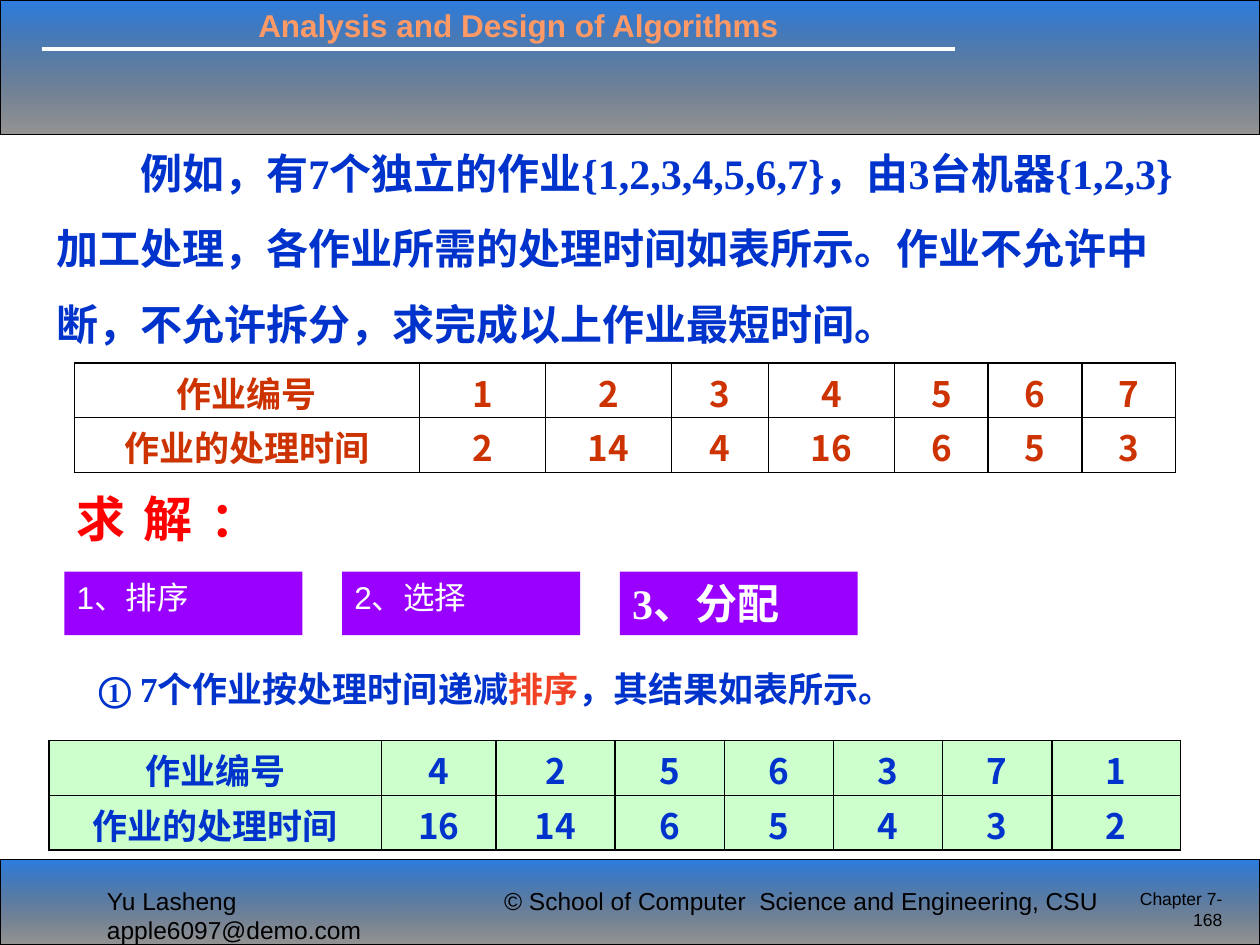
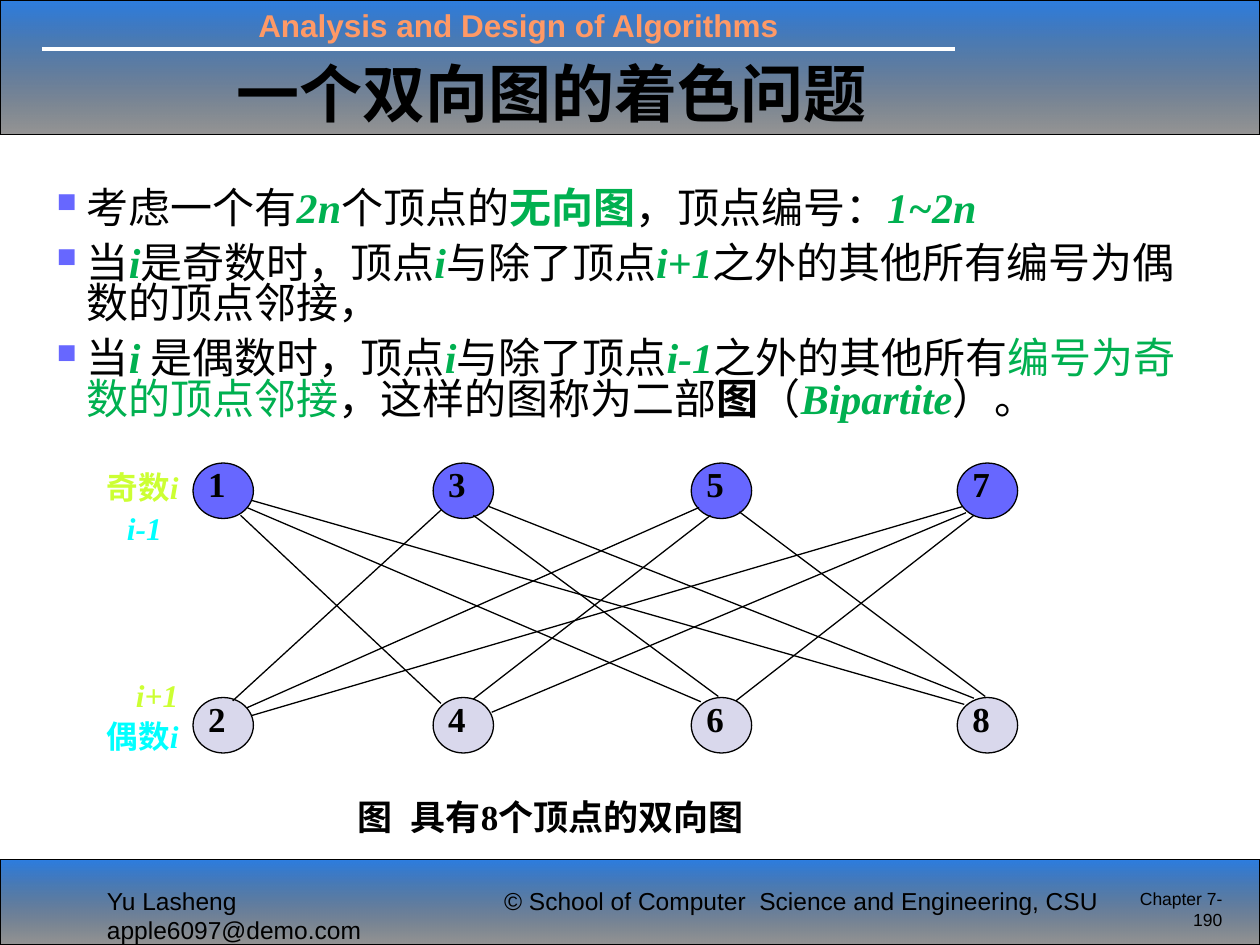
import dataclasses

import pptx
import pptx.dml.color
import pptx.enum.shapes
import pptx.enum.text
import pptx.oxml
import pptx.oxml.ns
import pptx.util

Pt = pptx.util.Pt
Align = pptx.enum.text.PP_ALIGN
Shape = pptx.enum.shapes.MSO_SHAPE
qn = pptx.oxml.ns.qn


@dataclasses.dataclass(frozen=True)
class Type:
    size: float
    color: str
    font: str = "Times New Roman"
    bold: bool = True
    italic: bool = False
    asian: str = "Karla"

    def but(self, **changes):
        return dataclasses.replace(self, **changes)


@dataclasses.dataclass(frozen=True)
class Theme:
    black: str = "000000"
    white: str = "FFFFFF"
    rust: str = "CC3300"
    accent: str = "F14124"
    green: str = "00B050"
    mint: str = "CCFFCC"
    purple: str = "9900FF"
    odd: str = "6767FF"
    even: str = "D9D8EC"
    lime: str = "CCFF33"
    cyan: str = "00FFFF"
    band: tuple = (("0E6BDC", 88000), ("000000", 41000))
    course: Type = Type(18, "FF9966", "Arial")
    footer: Type = Type(14, "000000", "Arial", False)
    number: Type = Type(10, "000000", "Arial", False)
    title: Type = Type(36, "000000")
    problem: Type = Type(24, "0033CC")
    note: Type = Type(20, "0033CC")
    cell: Type = Type(20, "0033CC", "Noto Sans CJK SC", asian="Noto Sans CJK SC")
    heading: Type = Type(28, "FF0000")
    step: Type = Type(18, "FFFFFF", "Arial", False)
    plain: Type = Type(24, "000000", "Noto Sans CJK SC", False)
    key: Type = Type(24, "00B050", italic=True)
    node: Type = Type(20, "000000")
    label: Type = Type(18, "000000", italic=True)


THEME = Theme()


def rgb(color):
    return pptx.dml.color.RGBColor.from_string(color)


class Builder:
    def __init__(self, theme):
        self.theme = theme
        self.deck = pptx.Presentation()
        self.deck.slide_width, self.deck.slide_height = Pt(720), Pt(540)
        self.page = None

    def new_page(self, number):
        theme = self.theme
        self.page = self.deck.slides.add_slide(self.deck.slide_layouts[6])
        for top, height in ((0, 77), (491, 49)):
            self.band(top, height)
        self.line((24, 28), (546, 28), theme.white, 2.25)
        self.text((140.5, 0, 360, 29),
                  [[("Analysis and Design of Algorithms", theme.course)]])
        self.text((54, 502.5, 231, 41),
                  [[("Yu Lasheng  apple6097@demo.com", theme.footer)]], wrap=False)
        self.text((281, 502.5, 369, 24.5),
                  [[("© School of Computer  Science and Engineering, CSU",
                     theme.footer)]], wrap=False)
        self.text((632, 504, 73.5, 36),
                  [[(f"Chapter 7-{number}", theme.number)]], align=Align.RIGHT)

    def band(self, top, height):
        band = self.shape((0, top, 720, height), None, self.theme.black)
        band.fill.gradient()
        band.fill.gradient_angle = 270
        for stop, (color, _) in zip(band.fill.gradient_stops, self.theme.band):
            stop.color.rgb = rgb(color)
        for color, (_, alpha) in zip(band._element.spPr.iter(qn("a:srgbClr")),
                                     self.theme.band):
            color.append(pptx.oxml.parse_xml(
                f'<a:alpha {pptx.oxml.ns.nsdecls("a")} val="{alpha}"/>'))

    def shape(self, area, fill, line=None, kind=Shape.RECTANGLE):
        shape = self.page.shapes.add_shape(kind, *map(Pt, area))
        shape.shadow.inherit = False
        if fill:
            shape.fill.solid()
            shape.fill.fore_color.rgb = rgb(fill)
        if line:
            shape.line.color.rgb = rgb(line)
            shape.line.width = Pt(0.75)
        else:
            shape.line.fill.background()
        return shape

    def line(self, start, end, color, width=0.75):
        line = self.page.shapes.add_connector(
            pptx.enum.shapes.MSO_CONNECTOR.STRAIGHT, *map(Pt, start + end))
        line.line.color.rgb = rgb(color)
        line.line.width = Pt(width)
        line._element.spPr.append(pptx.oxml.parse_xml(
            f'<a:effectLst {pptx.oxml.ns.nsdecls("a")}/>'))

    def text(self, area, paras, wrap=True, margins=(7.2, 3.6, 7.2, 3.6), **layout):
        box = self.page.shapes.add_textbox(*map(Pt, area))
        self.paragraphs(box.text_frame, paras, wrap, margins, **layout)

    def paragraphs(self, frame, paras, wrap=True, margins=(7.2, 3.6, 7.2, 3.6),
                   align=Align.LEFT, spacing=None, gap=0, indent=0, bullet=None):
        frame.word_wrap = wrap
        frame.vertical_anchor = pptx.enum.text.MSO_ANCHOR.TOP
        (frame.margin_left, frame.margin_top,
         frame.margin_right, frame.margin_bottom) = map(Pt, margins)
        for index, spans in enumerate(paras):
            para = frame.add_paragraph() if index else frame.paragraphs[0]
            para.alignment = align
            if spacing:
                para.line_spacing = spacing
            if index:
                para.space_before = Pt(gap)
            if indent:
                para._p.get_or_add_pPr().set("indent", str(Pt(indent)))
            if bullet:
                self.bullet(para, bullet, -indent)
            self.spans(para, spans)

    def bullet(self, para, color, margin):
        properties = para._p.get_or_add_pPr()
        properties.set("marL", str(Pt(margin)))
        for tag in (f'buClr {{}}><a:srgbClr val="{color}"/></a:buClr>',
                    'buSzPct {} val="65000"/>', 'buChar {} char="■"/>'):
            properties.append(pptx.oxml.parse_xml(
                "<a:" + tag.format(pptx.oxml.ns.nsdecls("a"))))

    def spans(self, para, spans):
        for words, style in spans:
            span = para.add_run()
            span.text = words
            font = span.font
            font.size, font.name = Pt(style.size), style.font
            font.bold, font.italic = style.bold, style.italic
            font.color.rgb = rgb(style.color)
            span._r.get_or_add_rPr().append(pptx.oxml.parse_xml(
                f'<a:ea {pptx.oxml.ns.nsdecls("a")} typeface="{style.asian}"/>'))

    def table(self, left, top, widths, rows, style, fill=None):
        height = 31.32
        frame = self.page.shapes.add_table(
            len(rows), len(widths), Pt(left), Pt(top),
            Pt(sum(widths)), Pt(height * len(rows)))
        table = frame.table
        table.first_row = table.horz_banding = False
        for column, width in zip(table.columns, widths):
            column.width = Pt(width)
        for row, values in zip(table.rows, rows):
            row.height = Pt(height)
            for cell, value in zip(row.cells, values):
                self.cell(cell, str(value), style, fill)

    def cell(self, cell, value, style, fill):
        cell.margin_top, cell.margin_bottom = Pt(2), Pt(0)
        para = cell.text_frame.paragraphs[0]
        para.alignment = Align.CENTER
        self.spans(para, [(value, style)])
        for side in "LRTB":
            cell._tc.get_or_add_tcPr().append(pptx.oxml.parse_xml(
                f'<a:ln{side} {pptx.oxml.ns.nsdecls("a")} w="{Pt(1)}"><a:solidFill>'
                f'<a:srgbClr val="{self.theme.black}"/></a:solidFill></a:ln{side}>'))
        if fill:
            cell.fill.solid()
            cell.fill.fore_color.rgb = rgb(fill)
        else:
            cell.fill.background()


def scheduling_page(builder):
    theme = builder.theme
    builder.new_page(168)
    builder.text((25.2, 66.2, 652.3, 136), [[(
        "例如，有7个独立的作业{1,2,3,4,5,6,7}，由3台机器{1,2,3}加工处理，"
        "各作业所需的处理时间如表所示。作业不允许中断，不允许拆分，"
        "求完成以上作业最短时间。", theme.problem)]], spacing=1.5, indent=48)

    times = {1: 2, 2: 14, 3: 4, 4: 16, 5: 6, 6: 5, 7: 3}
    longest_first = sorted(times, key=times.get, reverse=True)

    def job_rows(jobs):
        return [["作业编号", *jobs], ["作业的处理时间", *(times[job] for job in jobs)]]

    builder.table(42.5, 207.4, (197.3, 72, 72, 55.4, 72, 53.5, 53.5, 53.5),
                  job_rows(times), theme.cell.but(color=theme.rust))
    builder.text((25.2, 378, 669, 36.7), [[
        ("① 7个作业按处理时间递减", theme.note),
        ("排序", theme.note.but(color=theme.accent)),
        ("，其结果如表所示。", theme.note)]], indent=24)
    builder.table(28.1, 423.2, (190, 65.3, 68.2, 62.4, 62.4, 62.4, 62.4, 73.4),
                  job_rows(longest_first), theme.cell, theme.mint)

    heading = builder.shape((36.7, 275.8, 90.7, 41), theme.white)
    builder.paragraphs(heading.text_frame, [[("求解：", theme.heading)]],
                       align=Align.JUSTIFY)
    current = theme.problem.but(color=theme.white)
    steps = (("1、排序", theme.step), ("2、选择", theme.step), ("3、分配", current))
    for index, step in enumerate(steps):
        box = builder.shape((36.8 + 158.7 * index, 326.7, 136, 36.3), theme.purple)
        builder.paragraphs(box.text_frame, [[step]])


def colouring_page(builder):
    theme = builder.theme
    plain, key = theme.plain, theme.key
    builder.new_page(190)
    for row, (top, fill) in enumerate(((264.6, theme.odd), (398.6, theme.even))):
        for column, left in enumerate((110.3, 247.5, 395, 547)):
            node = builder.shape((left, top, 34.5, 31.7), fill, theme.black, Shape.OVAL)
            builder.paragraphs(
                node.text_frame, [[(str(2 * column + row + 1), theme.node)]],
                margins=(3.6, 0, 0, 0), align=Align.JUSTIFY, spacing=0.8)
    edges = (
        ((137.5, 294.5), (252, 402)), ((141, 290), (400.5, 401)),
        ((144, 286), (551, 402.5)), ((252, 291.5), (133, 400.5)),
        ((270.5, 294.5), (410.5, 398)), ((279.5, 289.5), (556.5, 399)),
        ((141, 404.5), (399.5, 290)), ((143.5, 409), (550, 289.5)),
        ((406, 294.5), (270.5, 399.5)), ((422.5, 292.5), (563, 398)),
        ((556.5, 294.5), (420.5, 400.5)), ((552, 293), (281, 407)))
    for start, end in edges:
        builder.line(start, end, theme.black)
    builder.text((204.5, 454.3, 281.5, 28), [[("图  具有8个顶点的双向图", theme.node)]],
                 margins=(0, 0, 0, 0), align=Align.JUSTIFY)

    green = plain.but(color=theme.green)
    builder.text((25.2, 105.8, 663, 144), [
        [("考虑一个有", plain), ("2n", key), ("个顶点的", plain),
         ("无向图", green.but(bold=True)), ("，顶点编号：", plain), ("1~2n", key)],
        [("当", plain), ("i", key), ("是奇数时，顶点", plain), ("i", key),
         ("与除了顶点", plain), ("i+1", key),
         ("之外的其他所有编号为偶数的顶点邻接，", plain)],
        [("当", plain), ("i ", key), ("是偶数时，顶点", plain), ("i", key),
         ("与除了顶点", plain), ("i-1", key), ("之外的其他所有", plain),
         ("编号为奇数的顶点邻接", green), ("，这样的图称为二部", plain),
         ("图", plain.but(bold=True)), ("（", plain), ("Bipartite", key),
         ("）。", plain)],
    ], spacing=0.8, gap=8.4, indent=-17.3, bullet=theme.odd)
    builder.text((31, 27.4, 480.2, 50.4), [[
        ("一个双向", theme.title),
        ("图的着色问题 ", theme.title.but(font=plain.font))]], align=Align.RIGHT)

    lime, cyan = (theme.label.but(color=color) for color in (theme.lime, theme.cyan))
    for left, top, width, words, variable, style in (
            (54, 264.2, 62.6, "奇数", "i", lime), (70.6, 383, 51, "", "i+1", lime),
            (54, 406, 62.6, "偶数", "i", cyan), (65.5, 287.3, 45.4, "", "i-1", cyan)):
        spans = [(variable, style)]
        if words:
            spans.insert(0, (words, style.but(font="Karla", italic=False)))
        builder.text((left, top, width, 28.8), [spans])


def main():
    builder = Builder(THEME)
    scheduling_page(builder)
    colouring_page(builder)
    builder.deck.save("out.pptx")


if __name__ == "__main__":
    main()
